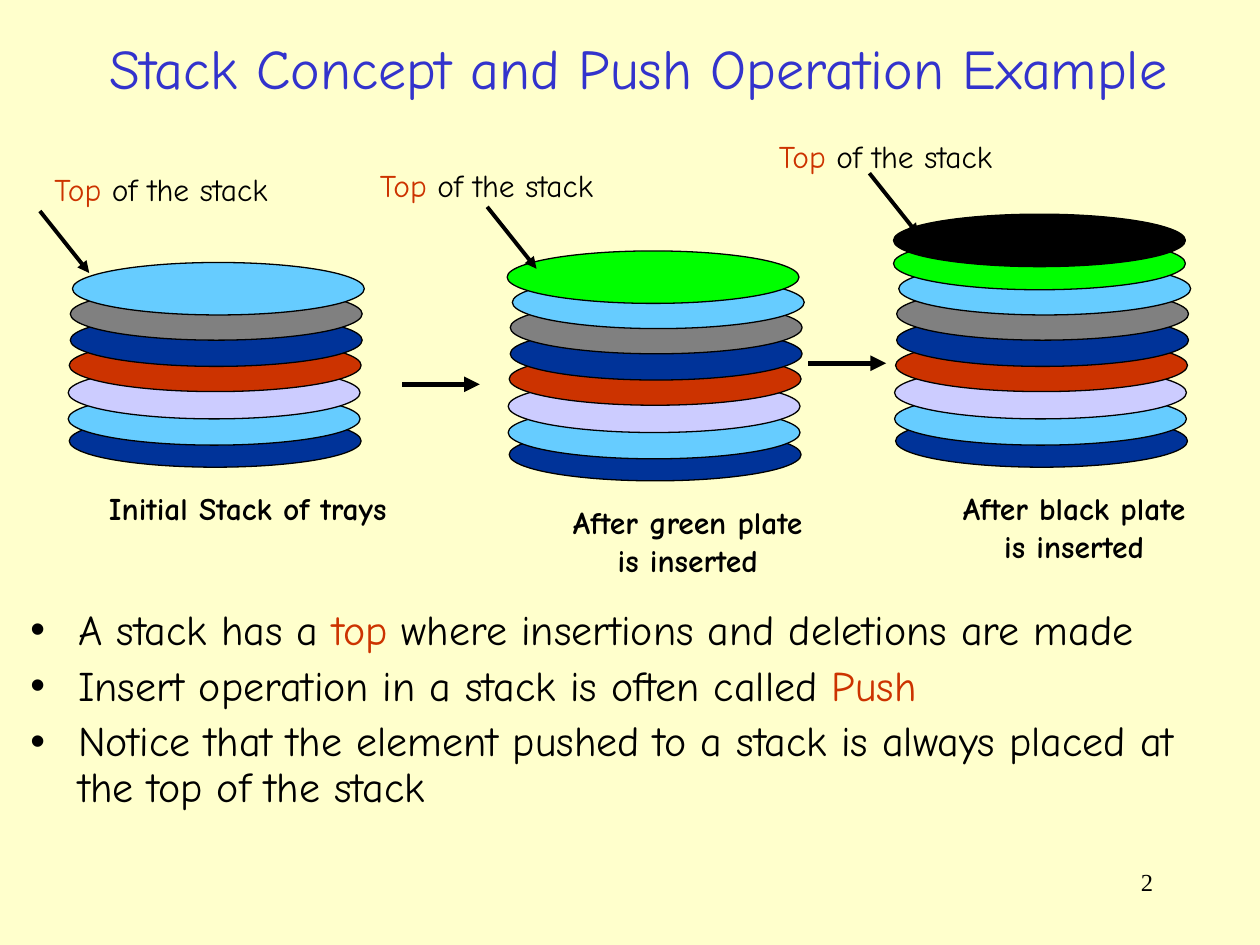
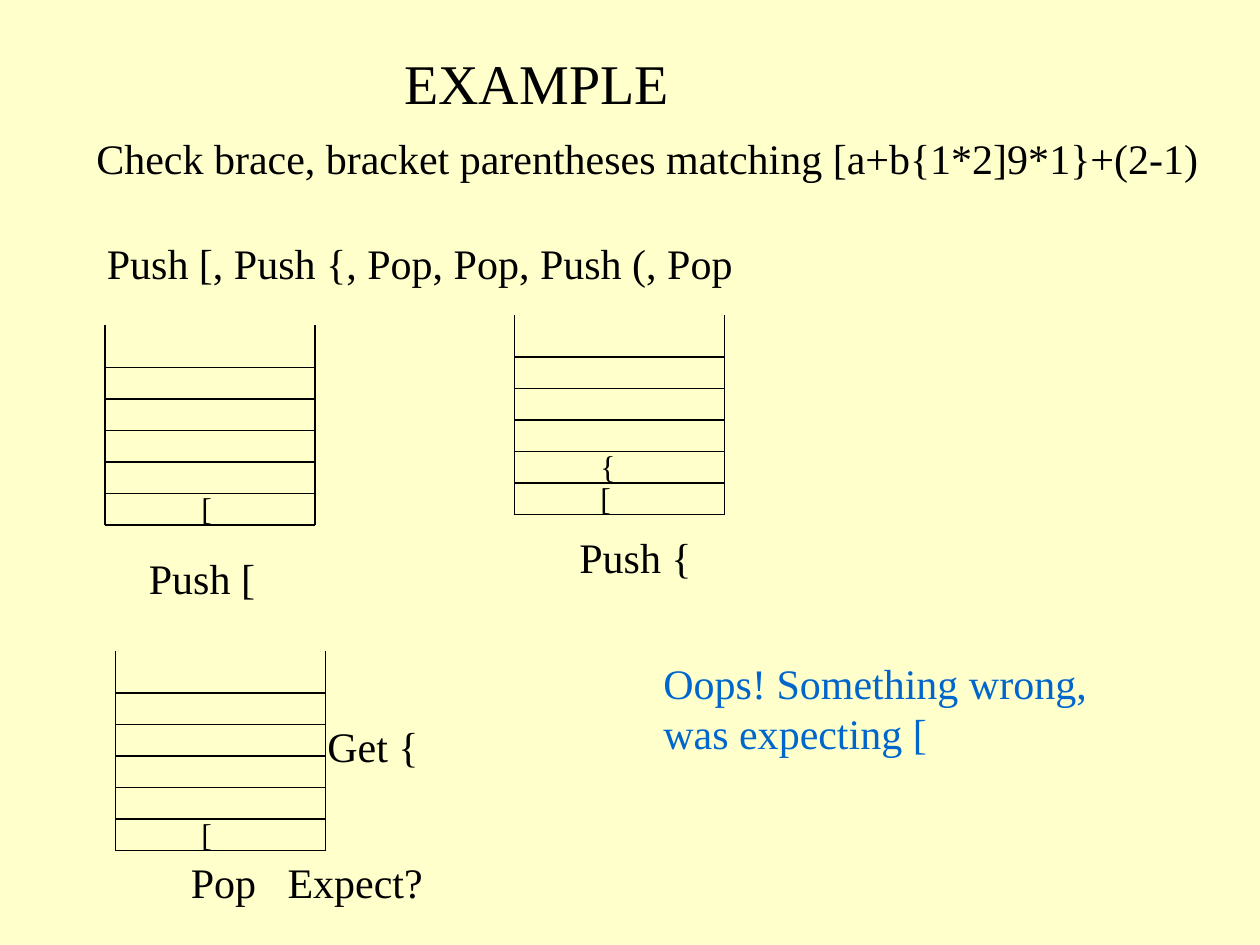
from dataclasses import dataclass

from lxml import etree
from pptx import Presentation, util as u
from pptx.dml.color import RGBColor
from pptx.enum import shapes, text
from pptx.oxml import ns

# A grid of 120 columns and 90 rows covers the slide.
WIDTH, HEIGHT = u.Inches(10), u.Inches(7.5)
CELL = WIDTH / 120
LEFT, CENTER, RIGHT = text.PP_ALIGN.LEFT, text.PP_ALIGN.CENTER, text.PP_ALIGN.RIGHT


@dataclass(frozen=True)
class Theme:
    paper: str = "FFFFCC"
    ink: str = "000000"
    title: str = "3333CC"
    accent: str = "CC3300"
    warning: str = "0066CC"
    casual: str = "Comic Neue"
    formal: str = "Times New Roman"
    title_size: int = 32
    body_size: int = 24
    label_size: int = 18
    number_size: int = 14


THEME = Theme()

# Colour, sideways shift and rise above the lowest tray, from the bottom up.
TRAYS = [
    ("003399", 0.1, 0), ("66CCFF", 0, 2.1), ("CCCCFF", 0, 4.6),
    ("CC3300", 0.1, 7.2), ("003399", 0.2, 9.6), ("808080", 0.2, 12.1),
    ("66CCFF", 0.4, 14.5), ("00FF00", -0.1, 16.9), ("000000", -0.1, 19.1),
]
TRAY_WIDTH, TRAY_HEIGHT = 27.8, 5


@dataclass(frozen=True)
class TrayStack:
    """Left edge and lowest tray's top; tip and label are offsets from them."""
    left: float
    base: float
    trays: int
    tip: tuple
    label: tuple
    caption: list


TRAY_STACKS = [
    TrayStack(6.5, 39.5, 7, (2, -13.5), (-2.5, -23.9), ["Initial Stack of trays"]),
    TrayStack(48.4, 40.8, 8, (2.7, -15.2), (-13.4, -25.6),
              ["After green plate", "is inserted"]),
    TrayStack(85.2, 39.5, 9, (2.3, -17.1), (-12.2, -27),
              ["After black plate", "is inserted"]),
]


@dataclass(frozen=True)
class SymbolStack:
    """Place of the open box; symbols go from the bottom up."""
    left: float
    top: float
    symbols: str
    symbol_shift: float


SYMBOL_STACKS = [
    SymbolStack(10, 31, "[", 8),
    SymbolStack(49, 30, "[{", 7),
    SymbolStack(11, 62, "[", 7),
]


def cells(*values):
    return [u.Emu(round(value * CELL)) for value in values]


def color(value):
    return RGBColor.from_string(value)


def style_font(font, name, size, ink, bold=False):
    font.name, font.size, font.bold = name, u.Pt(size), bold
    font.color.rgb = color(ink)


def write_runs(paragraph, content):
    """Content is a string, or a list of strings and (string, colour) pairs."""
    for part in [content] if isinstance(content, str) else content:
        words, ink = (part, None) if isinstance(part, str) else part
        run = paragraph.add_run()
        run.text = words
        if ink:
            run.font.color.rgb = color(ink)


def add_bullet(paragraph):
    properties = paragraph._p.get_or_add_pPr()
    indent = u.Inches(0.38)
    properties.set("marL", str(indent))
    properties.set("indent", str(-indent))
    etree.SubElement(properties, ns.qn("a:buFont"), typeface="Arial")
    etree.SubElement(properties, ns.qn("a:buChar"), char="•")


def add_text(slide, box, lines, name, size, ink=THEME.ink, align=LEFT,
             bold=False, bullets=False):
    shape = slide.shapes.add_textbox(*cells(*box))
    frame = shape.text_frame
    frame.word_wrap = True
    for index, line in enumerate(lines):
        paragraph = frame.add_paragraph() if index else frame.paragraphs[0]
        paragraph.alignment = align
        write_runs(paragraph, line)
        if bullets:
            paragraph.line_spacing = 0.9
            paragraph.space_before = u.Pt(6 if index else 0)
            add_bullet(paragraph)
        style_font(paragraph.font, name, size, ink, bold)


def add_formal_text(slide, left, top, width, words, size=THEME.body_size, ink=THEME.ink):
    add_text(slide, (left, top, width, 6), [words], THEME.formal, size, ink)


def add_line(slide, start, end, weight=0.75, arrow=False):
    connector = slide.shapes.add_connector(
        shapes.MSO_CONNECTOR.STRAIGHT, *cells(*start, *end))
    connector.line.color.rgb = color(THEME.ink)
    connector.line.width = u.Pt(weight)
    properties = connector._element.spPr
    if arrow:
        etree.SubElement(properties.find(ns.qn("a:ln")), ns.qn("a:tailEnd"), type="triangle")
    etree.SubElement(properties, ns.qn("a:effectLst"))


def add_titled_slide(presentation, title, box, name, ink, align):
    slide = presentation.slides.add_slide(presentation.slide_layouts[5])
    placeholder = slide.shapes.title
    placeholder.left, placeholder.top, placeholder.width, placeholder.height = cells(*box)
    frame = placeholder.text_frame
    frame.text = title
    frame.auto_size = text.MSO_AUTO_SIZE.NONE
    frame.vertical_anchor = text.MSO_ANCHOR.MIDDLE
    paragraph = frame.paragraphs[0]
    paragraph.alignment = align
    style_font(paragraph.font, name, THEME.title_size, ink)
    return slide


def add_tray_stack(slide, stack):
    for fill, shift, rise in TRAYS[:stack.trays]:
        tray = slide.shapes.add_shape(
            shapes.MSO_SHAPE.OVAL,
            *cells(stack.left + shift, stack.base - rise, TRAY_WIDTH, TRAY_HEIGHT))
        tray.shadow.inherit = False
        tray.fill.solid()
        tray.fill.fore_color.rgb = color(fill)
        tray.line.color.rgb = color(THEME.ink)
        tray.line.width = u.Pt(0.75)

    tip_left, tip_top = stack.left + stack.tip[0], stack.base + stack.tip[1]
    add_line(slide, (tip_left - 4.7, tip_top - 5.9), (tip_left, tip_top), 2.25, arrow=True)
    add_text(slide, (stack.left + stack.label[0], stack.base + stack.label[1], 24, 4.8),
             [[("Top", THEME.accent), " of the stack"]], THEME.casual, THEME.label_size)
    add_text(slide, (stack.left + 2.1, stack.base + 6.5, 30, 4.8 * len(stack.caption)),
             stack.caption, THEME.casual, THEME.label_size, align=CENTER, bold=True)


def add_symbol_stack(slide, stack):
    """Draw an open box of five slots, each three rows high, below a gap of four."""
    right, bottom = stack.left + 20, stack.top + 19
    for side in (stack.left, right):
        add_line(slide, (side, stack.top), (side, bottom))
    for slot in range(6):
        row = bottom - 3 * slot
        add_line(slide, (stack.left, row), (right, row))
    for slot, symbol in enumerate(stack.symbols):
        add_formal_text(slide, stack.left + stack.symbol_shift, bottom - 4 - 3 * slot,
                        5, symbol, THEME.label_size)


def build_push_slide(presentation):
    slide = add_titled_slide(presentation, "Stack Concept and Push Operation Example",
                             (3.6, 1.8, 114.5, 9.1), THEME.casual, THEME.title, CENTER)
    for stack in TRAY_STACKS:
        add_tray_stack(slide, stack)
    for left, row in ((38.3, 36.6), (77, 34.6)):
        add_line(slide, (left, row), (left + 7.4, row), 3, arrow=True)
    add_text(slide, (1.7, 57.4, 116.8, 21.7), [
        ["A stack has a ", ("top", THEME.accent), " where insertions and deletions are made"],
        ["Insert operation in a stack is often called ", ("Push", THEME.accent)],
        "Notice that the element pushed to a stack is always placed at the top of the stack",
    ], THEME.casual, THEME.body_size, bullets=True)
    add_text(slide, (86, 82, 25, 6), ["2"], THEME.formal, THEME.number_size, align=RIGHT)


def build_matching_slide(presentation):
    slide = add_titled_slide(presentation, "EXAMPLE", (37.3, 4, 50.7, 7.7),
                             THEME.formal, THEME.ink, LEFT)
    for stack in SYMBOL_STACKS:
        add_symbol_stack(slide, stack)
    for left, top, width, words in (
        (8, 12, 109, "Check brace, bracket parentheses matching [a+b{1*2]9*1}+(2-1)"),
        (9, 22, 84, "Push [, Push {, Pop, Pop, Push (, Pop"),
        (13, 52, 17, "Push ["),
        (54, 50, 17, "Push {"),
        (17, 81, 10, "Pop"),
        (26.2, 81, 20, "Expect?"),
        (30, 68, 12, "Get {"),
    ):
        add_formal_text(slide, left, top, width, words)
    add_formal_text(slide, 62, 62, 49, "Oops! Something wrong, was expecting [",
                    ink=THEME.warning)


def main():
    presentation = Presentation()
    presentation.slide_width, presentation.slide_height = WIDTH, HEIGHT
    background = presentation.slide_master.background.fill
    background.solid()
    background.fore_color.rgb = color(THEME.paper)
    build_push_slide(presentation)
    build_matching_slide(presentation)
    presentation.save("out.pptx")


if __name__ == "__main__":
    main()
